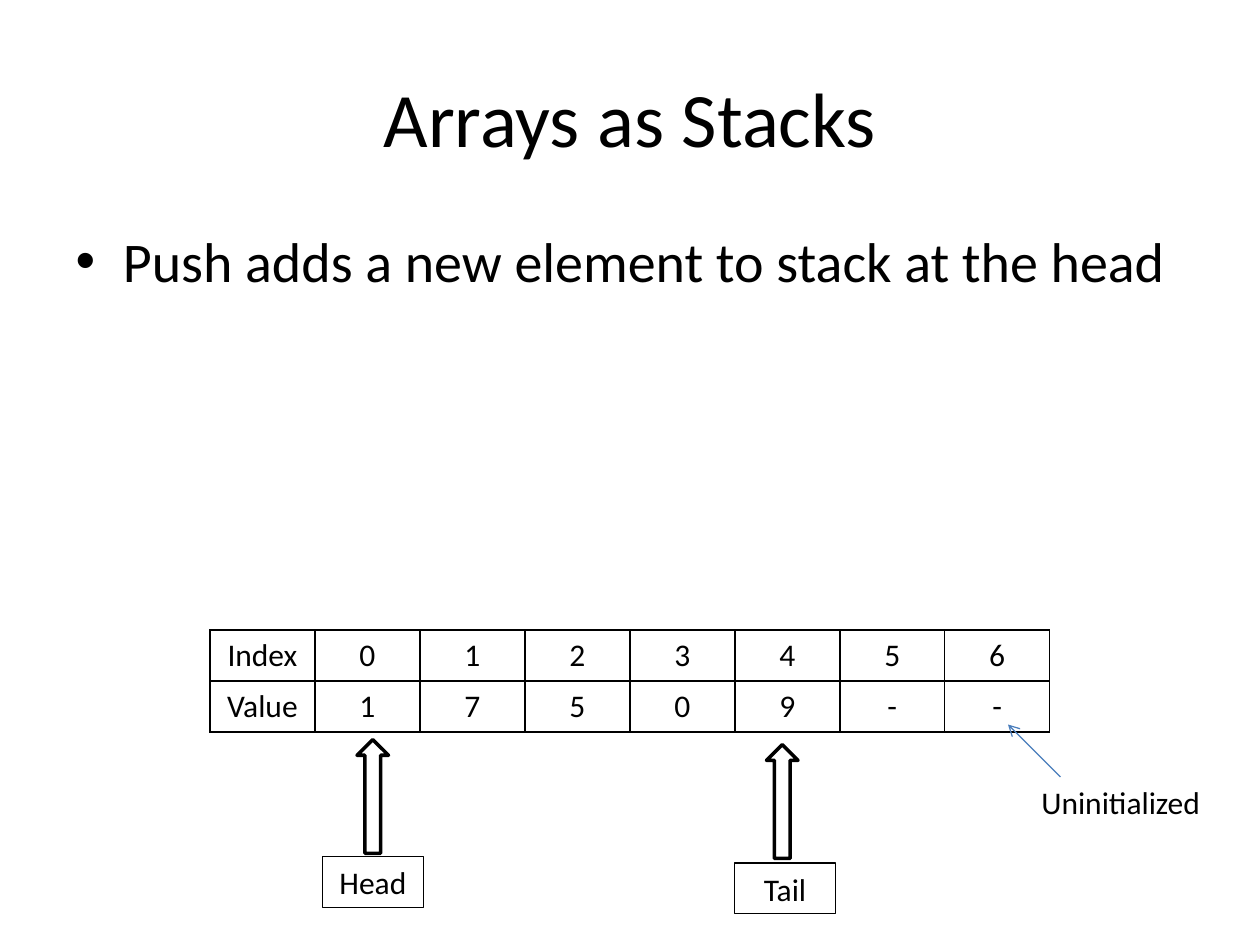
"""Build the slide that shows a stack stored in an array."""
from lxml.etree import SubElement
from pptx import Presentation
from pptx.dml.color import RGBColor
from pptx.enum.shapes import MSO_CONNECTOR, MSO_SHAPE
from pptx.enum.text import MSO_ANCHOR, PP_ALIGN
from pptx.oxml.ns import qn
from pptx.util import Pt


def color(value):
    return RGBColor.from_string(value)


def write(frame, text, size, align):
    paragraph = frame.paragraphs[0]
    paragraph.alignment = align
    span = paragraph.add_run()
    span.text = text
    span.font.size = Pt(size)
    span.font.name = "Calibri"
    span.font.bold = False
    span.font.color.rgb = color("000000")


deck = Presentation()
deck.slide_width, deck.slide_height = Pt(720), Pt(540)
page = deck.slides.add_slide(deck.slide_layouts[1])

title, body = page.placeholders
title.left, title.top, title.width, title.height = Pt(36), Pt(21.6), Pt(648), Pt(90)
title.text_frame.vertical_anchor = MSO_ANCHOR.MIDDLE
write(title.text_frame, "Arrays as Stacks", 44, PP_ALIGN.CENTER)
body.left, body.top, body.width, body.height = Pt(36), Pt(126), Pt(648), Pt(356.4)
write(body.text_frame, "Push adds a new element to stack at the head", 32, PP_ALIGN.LEFT)

rows = [
    ["Index", "0", "1", "2", "3", "4", "5", "6"],
    ["Value", "1", "7", "5", "0", "9", "-", "-"],
]
table = page.shapes.add_table(2, 8, Pt(120), Pt(360), Pt(480), Pt(58.4)).table
table.first_row = table.horz_banding = False
for column in table.columns:
    column.width = Pt(60)
for row_index, values in enumerate(rows):
    table.rows[row_index].height = Pt(29.2)
    for column_index, value in enumerate(values):
        cell = table.cell(row_index, column_index)
        write(cell.text_frame, value, 18, PP_ALIGN.CENTER)
        properties = cell._tc.get_or_add_tcPr()
        for side in ("lnL", "lnR", "lnT", "lnB"):
            border = SubElement(properties, qn(f"a:{side}"), w=str(Pt(1)))
            fill = SubElement(border, qn("a:solidFill"))
            SubElement(fill, qn("a:srgbClr"), val="000000")
        cell.fill.background()

label = page.shapes.add_textbox(Pt(588), Pt(444), Pt(114), Pt(30))
label.text_frame.word_wrap = True
write(label.text_frame, "Uninitialized", 18, PP_ALIGN.LEFT)

pointer = page.shapes.add_connector(MSO_CONNECTOR.STRAIGHT, Pt(606), Pt(444), Pt(576), Pt(414))
pointer.line.color.rgb = color("4B7EBC")
pointer.line.width = Pt(0.75)
SubElement(pointer.line._get_or_add_ln(), qn("a:tailEnd"), type="arrow")
SubElement(pointer._element.spPr, qn("a:effectLst"))

for name, box_left, box_top, arrow_left, arrow_top in [
    ("Head", 184.3, 489.6, 204, 422.6),
    ("Tail", 419.8, 493.2, 438, 425.5),
]:
    box = page.shapes.add_shape(MSO_SHAPE.RECTANGLE, Pt(box_left), Pt(box_top), Pt(57.6), Pt(29))
    box.fill.background()
    box.line.width = Pt(0.75)
    write(box.text_frame, name, 18, PP_ALIGN.CENTER)
    arrow = page.shapes.add_shape(MSO_SHAPE.UP_ARROW, Pt(arrow_left), Pt(arrow_top), Pt(18), Pt(65))
    arrow.fill.solid()
    arrow.fill.fore_color.rgb = color("FFFFFF")
    arrow.line.width = Pt(2)
    for shape in (box, arrow):
        shape.line.color.rgb = color("000000")
        shape.shadow.inherit = False

deck.save("out.pptx")
